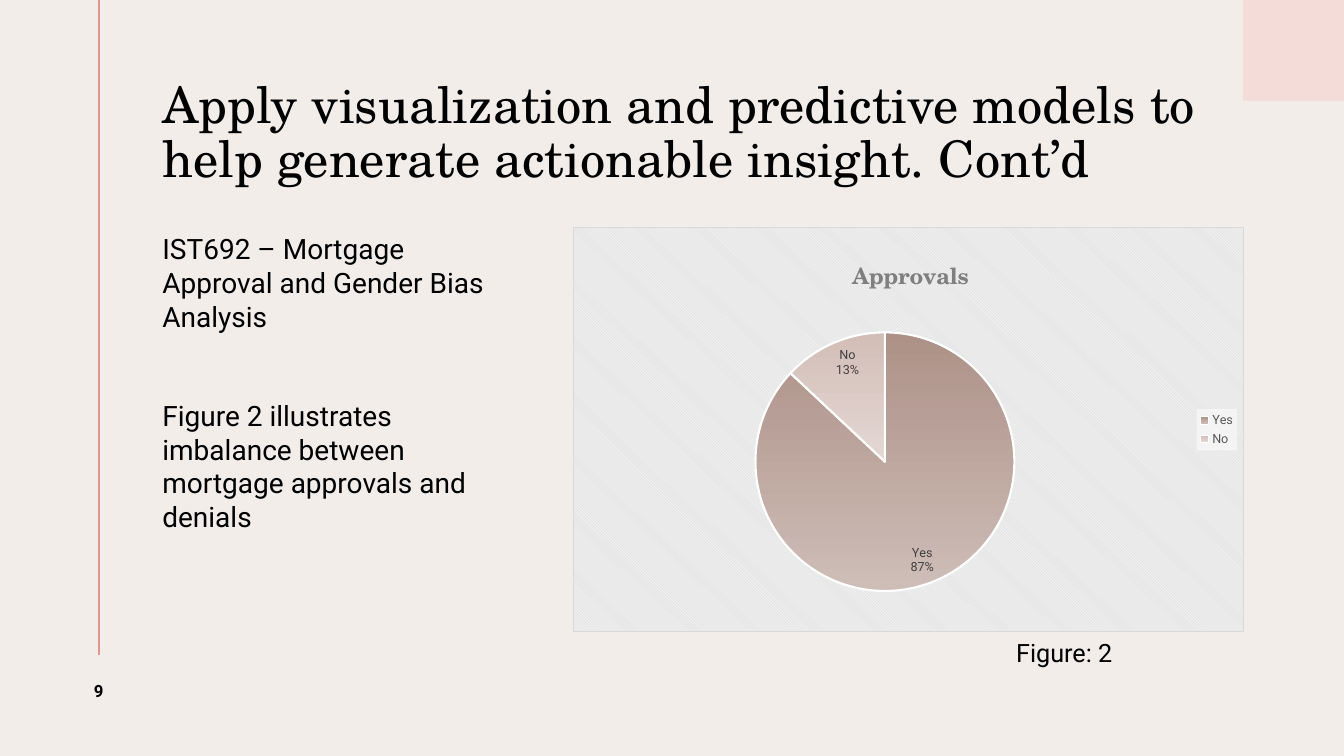
from lxml.etree import SubElement
from pptx import Presentation
from pptx.chart.data import CategoryChartData
from pptx.dml.color import RGBColor
from pptx.enum.chart import XL_CHART_TYPE, XL_LABEL_POSITION, XL_LEGEND_POSITION
from pptx.enum.shapes import MSO_CONNECTOR, MSO_SHAPE
from pptx.enum.text import MSO_ANCHOR, MSO_AUTO_SIZE, PP_ALIGN
from pptx.oxml import parse_xml
from pptx.oxml.ns import nsdecls, qn
from pptx.util import Inches, Pt

COLORS = {
    "background": "F3EDEA", "corner": "F4DDD8", "rule": "DF998B",
    "text": "000000", "white": "FFFFFF", "chart_title": "7F7F7F",
    "legend": "595959", "label": "404040", "stripe": "E6E6E6", "border": "D9D9D9",
}
SLICES = [("Yes", 87, ("AD9187", "CEBDB7")), ("No", 13, ("D3BDB7", "E4D8D4"))]
HEADING_FONT = "TeX Gyre Schola"
BODY_FONT = "Roboto"


def color(name):
    """Return the named palette colour."""
    return RGBColor.from_string(COLORS[name])


def set_font(font, size, color_name="text", name=BODY_FONT, bold=False):
    """Apply typeface, size, colour and weight to a font."""
    font.name, font.size, font.bold = name, Pt(size), bold
    font.color.rgb = color(color_name)


def place(shape, box):
    """Move a shape to a box of left, top, width and height in inches."""
    shape.left, shape.top, shape.width, shape.height = map(Inches, box)


def add_decoration(slide, box):
    """Draw the vertical rule and the corner square of the page box."""
    left, top, width, height = box
    square = slide.shapes.add_shape(
        MSO_SHAPE.RECTANGLE, Inches(left + width - 1), Inches(top), Inches(1), Inches(1))
    square.shadow.inherit = False
    square.fill.solid()
    square.fill.fore_color.rgb = color("corner")
    square.line.fill.background()
    rule_x = Inches(left + 0.98)
    rule = slide.shapes.add_connector(
        MSO_CONNECTOR.STRAIGHT, rule_x, Inches(top), rule_x, Inches(top + height - 1))
    rule.line.color.rgb = color("rule")
    rule.line.width = Pt(1.5)
    SubElement(rule._element.spPr, qn("a:effectLst"))


def prepare_frame(shape, box, anchor):
    """Place a text placeholder and return its frame with even margins."""
    place(shape, box)
    frame = shape.text_frame
    frame.margin_left = 0
    frame.margin_right = Inches(0.1)
    frame.margin_top = frame.margin_bottom = Inches(0.05)
    frame.vertical_anchor = anchor
    frame.word_wrap = True
    frame.auto_size = MSO_AUTO_SIZE.NONE
    return frame


def fill_title(slide, box, text):
    """Write the slide title."""
    frame = prepare_frame(slide.shapes.title, box, MSO_ANCHOR.MIDDLE)
    frame.text = text
    paragraph = frame.paragraphs[0]
    paragraph.alignment = PP_ALIGN.LEFT
    paragraph.line_spacing = 0.9
    set_font(paragraph.font, 36, name=HEADING_FONT)


def fill_body(slide, box, texts):
    """Write the unbulleted body paragraphs with a wide gap between them."""
    frame = prepare_frame(slide.placeholders[1], box, MSO_ANCHOR.TOP)
    frame.text = "\n".join(texts)
    for paragraph in frame.paragraphs:
        paragraph.space_before = Pt(0)
        paragraph.space_after = Pt(47)
        set_font(paragraph.font, 20)
        properties = paragraph._p.get_or_add_pPr()
        properties.set("marL", "0")
        properties.set("indent", "0")
        properties.insert_element_before(
            parse_xml(f"<a:buNone {nsdecls('a')}/>"), "a:tabLst", "a:defRPr", "a:extLst")


def add_note(slide, box, text, size, bold=False, alignment=PP_ALIGN.LEFT,
             anchor=MSO_ANCHOR.TOP):
    """Add a one-line text box."""
    shape = slide.shapes.add_textbox(*map(Inches, box))
    frame = shape.text_frame
    frame.word_wrap = True
    frame.vertical_anchor = anchor
    frame.text = text
    paragraph = frame.paragraphs[0]
    paragraph.alignment = alignment
    set_font(paragraph.font, size, bold=bold)


def set_layout(element, index, target=None, **fractions):
    """Give a chart part a manual layout in fractions of the chart."""
    for old in element.findall(qn("c:layout")):
        element.remove(old)
    layout = parse_xml(f"<c:layout {nsdecls('c')}/>")
    manual = SubElement(layout, qn("c:manualLayout"))
    if target:
        SubElement(manual, qn("c:layoutTarget")).set("val", target)
    for axis in "xy":
        SubElement(manual, qn(f"c:{axis}Mode")).set("val", "edge")
    for name, value in fractions.items():
        SubElement(manual, qn(f"c:{name}")).set("val", str(value))
    element.insert(index, layout)


def style_slices(series):
    """Fill the slices with gradients and label them."""
    for index, (_, _, stops) in enumerate(SLICES):
        point_format = series.points[index].format
        point_format.fill.gradient()
        point_format.fill.gradient_angle = 270
        for stop, value in zip(point_format.fill.gradient_stops, stops):
            stop.color.rgb = RGBColor.from_string(value)
        point_format.line.color.rgb = color("white")
        point_format.line.width = Pt(1.5)
    labels = series.data_labels
    labels.show_value = False
    labels.show_percentage = labels.show_category_name = True
    labels.number_format, labels.number_format_is_linked = "0%", False
    labels.position = XL_LABEL_POSITION.INSIDE_END
    set_font(labels.font, 9, "label")
    separator = parse_xml(f"<c:separator {nsdecls('c')}>\n</c:separator>")
    labels._element.find(qn("c:showBubbleSize")).addnext(separator)


def add_pie(slide, box):
    """Add the approvals pie chart on its striped panel."""
    data = CategoryChartData()
    data.categories = [name for name, _, _ in SLICES]
    data.add_series("Series 1", [value for _, value, _ in SLICES])
    chart = slide.shapes.add_chart(
        XL_CHART_TYPE.PIE, *map(Inches, box), data).chart
    set_font(chart.font, 10)
    chart.plots[0].vary_by_categories = True
    style_slices(chart.plots[0].series[0])

    chart.has_title = True
    title = chart.chart_title
    title.text_frame.text = "Approvals"
    set_font(title.text_frame.paragraphs[0].font, 16, "chart_title", HEADING_FONT, True)
    set_layout(title._element, 1, x=0.41, y=0.06)

    chart.has_legend = True
    legend = chart.legend
    legend.position = XL_LEGEND_POSITION.RIGHT
    legend.include_in_layout = False
    set_font(legend.font, 9, "legend")
    set_layout(legend._element, 1, x=0.93, y=0.45)
    legend._element.find(qn("c:overlay")).addnext(parse_xml(
        f'<c:spPr {nsdecls("c", "a")}><a:solidFill><a:srgbClr val="{COLORS["white"]}">'
        '<a:alpha val="50000"/></a:srgbClr></a:solidFill></c:spPr>'))

    chart_element = chart._chartSpace.find(qn("c:chart"))
    set_layout(chart_element.find(qn("c:plotArea")), 0, "inner", x=0.27, y=0.26, w=0.39, h=0.64)
    chart_element.addnext(parse_xml(
        f'<c:spPr {nsdecls("c", "a")}><a:pattFill prst="dkDnDiag">'
        f'<a:fgClr><a:srgbClr val="{COLORS["white"]}"/></a:fgClr>'
        f'<a:bgClr><a:srgbClr val="{COLORS["stripe"]}"/></a:bgClr></a:pattFill>'
        f'<a:ln w="{Pt(0.75)}"><a:solidFill><a:srgbClr val="{COLORS["border"]}"/>'
        '</a:solidFill></a:ln></c:spPr>'))


def main():
    """Build the mortgage approval slide."""
    presentation = Presentation()
    presentation.slide_width, presentation.slide_height = Inches(13.33), Inches(7.5)
    slide = presentation.slides.add_slide(presentation.slide_layouts[1])
    slide.background.fill.solid()
    slide.background.fill.fore_color.rgb = color("background")
    add_decoration(slide, (0, 0, 13.33, 7.5))
    fill_title(slide, (1.61, 0.55, 10.73, 1.56),
               "Apply visualization and predictive models to help generate "
               "actionable insight. Cont’d")
    fill_body(slide, (1.61, 2.25, 3.36, 4.51), [
        "IST692 – Mortgage Approval and Gender Bias Analysis",
        "Figure 2 illustrates imbalance between mortgage approvals and denials"])
    add_note(slide, (0.45, 6.5, 1.06, 0.71), "9", 12, True,
             PP_ALIGN.CENTER, MSO_ANCHOR.MIDDLE)
    add_note(slide, (9.98, 6.27, 2.36, 0.4), "Figure: 2", 18)
    add_pie(slide, (5.68, 2.25, 6.66, 4.02))
    presentation.save("out.pptx")


if __name__ == "__main__":
    main()
